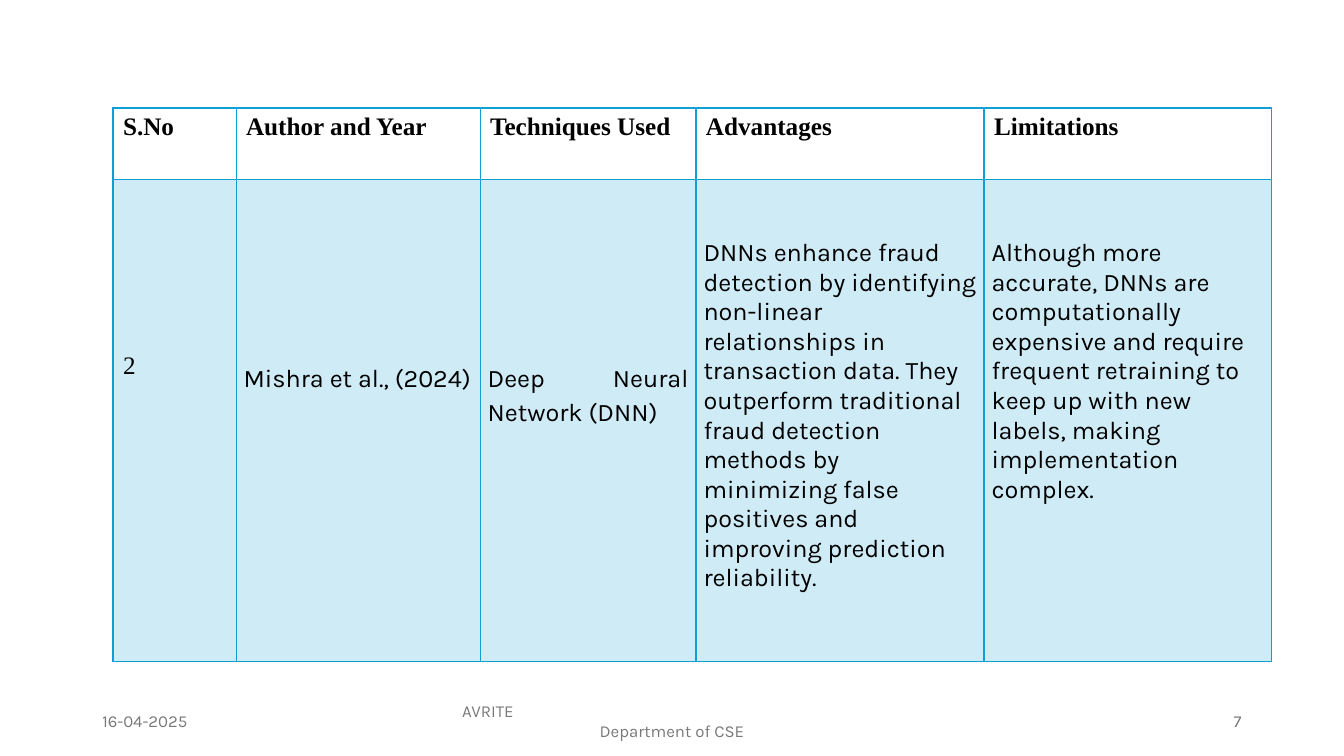
from lxml.etree import SubElement
from pptx import Presentation
from pptx.dml.color import RGBColor
from pptx.enum.text import MSO_ANCHOR as Anchor, PP_ALIGN as Align
from pptx.oxml.ns import qn
from pptx.util import Cm, Pt

COLORS = {"blue": "0F9ED5", "text": "000000", "footer": "797979"}
SERIF, SANS = "Times New Roman", "Karla"
COLUMN_WIDTHS = [3.1, 6.15, 5.44, 7.26, 7.24]
ROW_HEIGHTS = [1.8, 12.14]
HEADERS = ["S.No", "Author and Year", "Techniques Used", "Advantages", "Limitations"]
SERIAL = {"font": SERIF, "top": 4.35}
CITATION = {"font": SANS, "top": 4.54, "side": 0.19, "spacing": 1.15}
PROSE = {"font": SANS, "top": 1.49, "side": 0.19, "align": Align.LEFT}
STUDY = [
    ("2", SERIAL),
    ("Mishra et al., (2024)", CITATION),
    ("Deep Neural Network (DNN)", CITATION),
    ("DNNs enhance fraud detection by identifying non-linear relationships in "
     "transaction data. They outperform traditional fraud detection methods by "
     "minimizing false positives and improving prediction reliability.", PROSE),
    ("Although more accurate, DNNs are computationally expensive and require "
     "frequent retraining to keep up with new labels, making implementation complex.", PROSE),
]


class SlideBuilder:
    """Draws styled tables and footer texts on one slide."""

    def __init__(self, slide):
        self.slide = slide

    def style_text(self, paragraph, text, font, size, color, align, bold=False):
        paragraph.text = text
        paragraph.alignment = align
        paragraph.font.name = font
        paragraph.font.size = Pt(size)
        paragraph.font.bold = bold
        paragraph.font.color.rgb = RGBColor.from_string(COLORS[color])

    def table(self, left, top, widths, heights):
        frame = self.slide.shapes.add_table(
            len(heights), len(widths), Cm(left), Cm(top), Cm(sum(widths)), Cm(sum(heights)))
        table = frame.table
        table.first_row = table.horz_banding = False
        for column, width in zip(table.columns, widths):
            column.width = Cm(width)
        for row, height in zip(table.rows, heights):
            row.height = Cm(height)
        return table

    def borders(self, cell):
        properties = cell._tc.get_or_add_tcPr()
        for side in ("a:lnL", "a:lnR", "a:lnT", "a:lnB"):
            line = SubElement(properties, qn(side), w=str(Pt(1)))
            fill = SubElement(line, qn("a:solidFill"))
            SubElement(fill, qn("a:srgbClr"), val=COLORS["blue"])

    def cell(self, cell, text, font=SERIF, top=0.13, side=0.25, spacing=None,
             align=Align.JUSTIFY, header=False):
        cell.margin_left = cell.margin_right = Cm(side)
        cell.margin_top = Cm(top)
        cell.margin_bottom = Cm(0)
        paragraph = cell.text_frame.paragraphs[0]
        self.style_text(paragraph, text, font, 18, "text", align, header)
        paragraph.line_spacing = spacing
        self.borders(cell)
        if header:
            cell.fill.background()
        else:
            cell.fill.solid()
            cell.fill.fore_color.rgb = RGBColor.from_string(COLORS["blue"])
            color = cell._tc.tcPr.find(qn("a:solidFill")).find(qn("a:srgbClr"))
            SubElement(color, qn("a:alpha"), val="20000")

    def footer(self, left, width, lines, side=0.25):
        box = self.slide.shapes.add_textbox(Cm(left), Cm(17.65), Cm(width), Cm(1.01))
        frame = box.text_frame
        frame.word_wrap = True
        frame.vertical_anchor = Anchor.MIDDLE
        frame.margin_left = frame.margin_right = Cm(side)
        for index, (text, align) in enumerate(lines):
            paragraph = frame.add_paragraph() if index else frame.paragraphs[0]
            self.style_text(paragraph, text, SANS, 12, "footer", align)


def main():
    presentation = Presentation()
    presentation.slide_width, presentation.slide_height = Cm(33.87), Cm(19.05)
    builder = SlideBuilder(presentation.slides.add_slide(presentation.slide_layouts[6]))

    table = builder.table(2.85, 2.72, COLUMN_WIDTHS, ROW_HEIGHTS)
    for column, (header, (text, style)) in enumerate(zip(HEADERS, STUDY)):
        builder.cell(table.cell(0, column), header, header=True)
        builder.cell(table.cell(1, column), text, **style)

    builder.footer(2.33, 7.62, [("16-04-2025", Align.LEFT)])
    builder.footer(11.22, 11.43, [("AVRITE", Align.LEFT), ("Department of CSE", Align.CENTER)], 0.43)
    builder.footer(23.92, 7.62, [("7", Align.RIGHT)])
    presentation.save("out.pptx")


if __name__ == "__main__":
    main()
